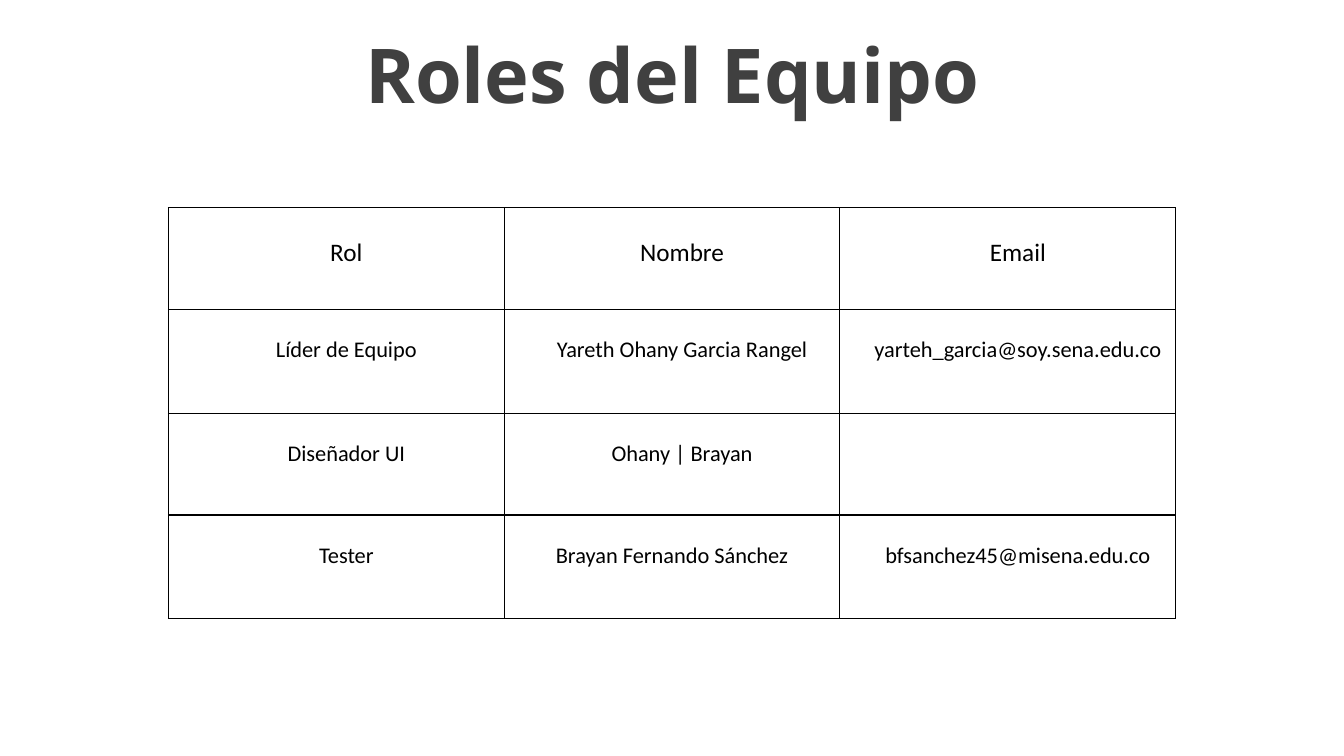
"""Build the team roles slide: a title above a bordered table."""
from dataclasses import dataclass

from lxml.etree import SubElement
from pptx import Presentation
from pptx.dml.color import RGBColor
from pptx.enum.text import MSO_ANCHOR as Anchor, MSO_AUTO_SIZE as Fit, PP_ALIGN as Align
from pptx.oxml.ns import qn
from pptx.slide import Slide
from pptx.table import _Cell as Cell
from pptx.text.text import TextFrame as Frame, _Paragraph as Para
from pptx.util import Emu, Pt

SCALE = 9144
GREY = RGBColor(0x40, 0x40, 0x40)
BLACK = RGBColor(0, 0, 0)
SIDES = ("lnL", "lnR", "lnT", "lnB")
COL = 333
INDENT = 20


@dataclass(frozen=True)
class Item:
    text: str
    indent: int = INDENT


@dataclass(frozen=True)
class Row:
    height: int
    size: int
    top: int
    items: tuple[Item, ...]


ROWS = (
    Row(101, 18, 30, (Item("Rol"), Item("Nombre"), Item("Email"))),
    Row(103, 16, 27, (Item("Líder de Equipo"), Item("Yareth Ohany Garcia Rangel"),
                      Item("yarteh_garcia@soy.sena.edu.co"))),
    Row(101, 16, 27, (Item("Diseñador UI"), Item("Ohany | Brayan"), Item(""))),
    Row(103, 16, 27, (Item("Tester"), Item("Brayan Fernando Sánchez", 0),
                      Item("bfsanchez45@misena.edu.co"))),
)


def px(num: int) -> Emu:
    """Turn px into EMU."""
    return Emu(num * SCALE)


def add_run(para: Para, text: str, face: str, size: int, color: RGBColor,
            bold: bool = False) -> None:
    """Add one centred, styled run."""
    para.alignment = Align.CENTER
    run = para.add_run()
    run.text = text
    run.font.name = face
    run.font.size = Pt(size)
    run.font.bold = bold
    run.font.color.rgb = color


def add_title(slide: Slide, text: str) -> None:
    """Place and fill the title."""
    title = slide.shapes.title
    title.left, title.top, title.width, title.height = map(px, (231, 22, 872, 101))
    frame: Frame = title.text_frame
    frame.auto_size = Fit.NONE
    frame.vertical_anchor = Anchor.MIDDLE
    frame.margin_top = frame.margin_bottom = 0
    add_run(frame.paragraphs[0], text, "Open Sans", 54, GREY, True)


def add_edges(cell: Cell) -> None:
    """Draw a thin black line on each side of a cell."""
    props = cell._tc.get_or_add_tcPr()
    for side in SIDES:
        line = SubElement(props, qn(f"a:{side}"), w=str(Pt(1)))
        fill = SubElement(line, qn("a:solidFill"))
        SubElement(fill, qn("a:srgbClr"), val=str(BLACK))


def fill_cell(cell: Cell, item: Item, row: Row) -> None:
    """Style a cell and write its text."""
    add_edges(cell)
    cell.fill.background()
    cell.margin_left = cell.margin_right = px(7)
    cell.margin_top, cell.margin_bottom = px(row.top), 0
    if item.text:
        para = cell.text_frame.paragraphs[0]
        props = para._p.get_or_add_pPr()
        props.set("marL", "0")
        props.set("indent", str(px(item.indent)))
        add_run(para, item.text, "Calibri", row.size, BLACK)


def add_roles(slide: Slide, rows: tuple[Row, ...]) -> None:
    """Add the table of roles."""
    count = len(rows[0].items)
    high = sum(row.height for row in rows)
    table = slide.shapes.add_table(len(rows), count, px(167), px(206),
                                   px(COL * count), px(high)).table
    table.first_row = table.horz_banding = False
    for col in table.columns:
        col.width = px(COL)
    for line, row in zip(table.rows, rows):
        line.height = px(row.height)
        for cell, item in zip(line.cells, row.items):
            fill_cell(cell, item, row)


def main() -> None:
    """Build and save the slide."""
    deck = Presentation()
    deck.slide_width, deck.slide_height = px(1333), px(750)
    slide = deck.slides.add_slide(deck.slide_layouts[5])
    add_title(slide, "Roles del Equipo")
    add_roles(slide, ROWS)
    deck.save("out.pptx")


if __name__ == "__main__":
    main()
